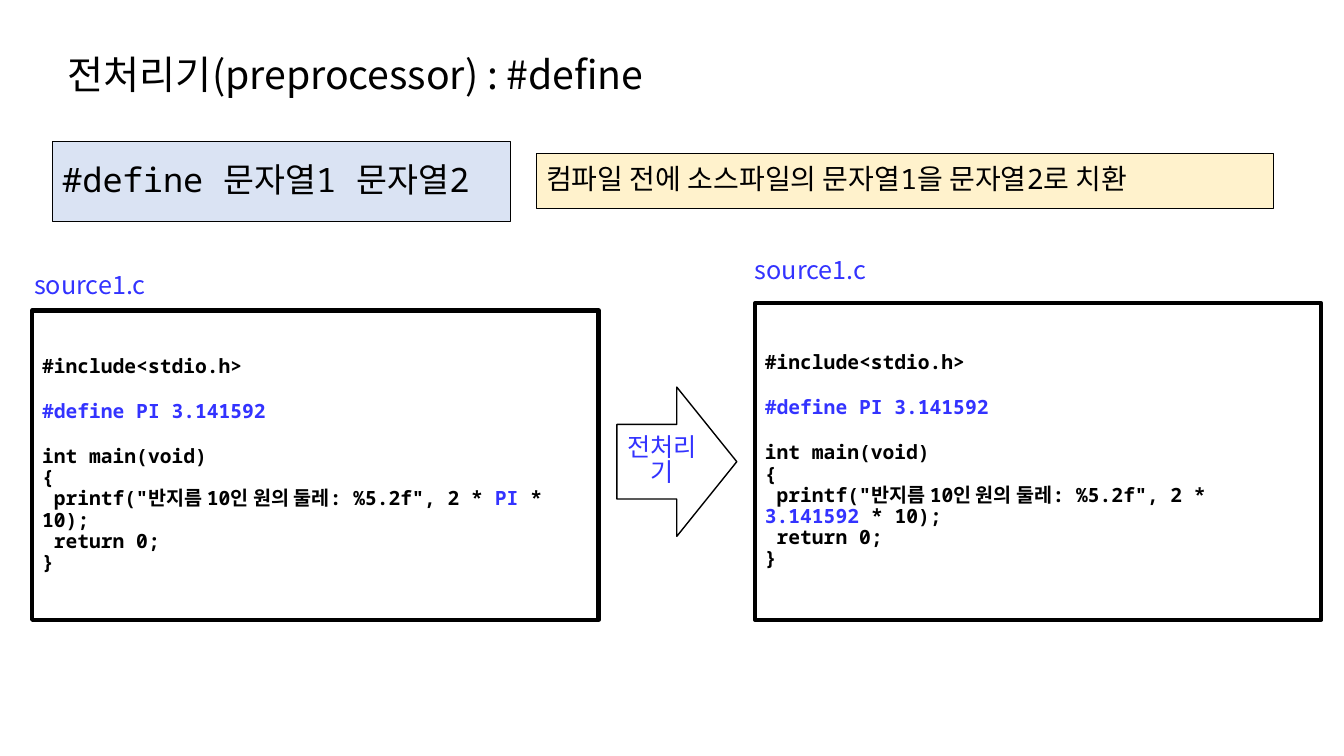
from dataclasses import dataclass
from lxml import etree
from pptx import Presentation
from pptx.dml.color import RGBColor as Rgb
from pptx.enum.shapes import MSO_SHAPE as Kind
from pptx.enum.text import MSO_ANCHOR as Anchor, PP_ALIGN as Align
from pptx.oxml.ns import qn
from pptx.util import Pt


@dataclass
class Theme:
    black: str = "000000"
    accent: str = "3333FF"
    blue: str = "DAE3F3"
    cream: str = "FFF2CC"
    sans: str = "Noto Sans CJK KR"
    mono: str = "Noto Sans Mono"
    title: int = 28
    rule: int = 24
    note: int = 20
    label: int = 18
    code: int = 14


theme = Theme()


def style(run, size, face, color, bold=False):
    font = run.font
    font.size = Pt(size)
    font.name = face
    font.bold = bold
    font.color.rgb = Rgb.from_string(color)
    east = etree.SubElement(run._r.get_or_add_rPr(), qn("a:ea"))
    east.set("typeface", theme.sans)


def add_box(kind, place, fill, width):
    box = slide.shapes.add_shape(kind, *map(Pt, place))
    box.shadow.inherit = False
    if fill:
        box.fill.solid()
        box.fill.fore_color.rgb = Rgb.from_string(fill)
    else:
        box.fill.background()
    box.line.color.rgb = Rgb.from_string(theme.black)
    box.line.width = Pt(width)
    frame = box.text_frame
    frame.word_wrap = True
    frame.vertical_anchor = Anchor.MIDDLE
    frame.paragraphs[0].alignment = Align.LEFT
    return frame


deck = Presentation()
deck.slide_width, deck.slide_height = Pt(960), Pt(540)
slide = deck.slides.add_slide(deck.slide_layouts[6])

labels = [
    ("전처리기(preprocessor) : #define", (41.5, 24, 664, 57.5), theme.title, theme.black, True),
    ("source1.c", (17.3, 188.6, 107, 29), theme.label, theme.accent, False),
    ("source1.c", (532, 177.8, 107, 29), theme.label, theme.accent, False),
]
for text, place, size, color, wrap in labels:
    frame = slide.shapes.add_textbox(*map(Pt, place)).text_frame
    frame.word_wrap = wrap
    frame.vertical_anchor = Anchor.MIDDLE if wrap else Anchor.TOP
    frame.text = text
    style(frame.paragraphs[0].runs[0], size, theme.sans, color)

banners = [
    ("#define 문자열1 문자열2", (37.4, 100.8, 327, 57.6), theme.blue, theme.rule),
    ("컴파일 전에 소스파일의 문자열1을 문자열2로 치환", (383, 109.4, 527, 39.6), theme.cream, theme.note),
]
for text, place, fill, size in banners:
    frame = add_box(Kind.RECTANGLE, place, fill, 0.75)
    frame.text = text
    para = frame.paragraphs[0]
    para.line_spacing = 0.9
    style(para.runs[0], size, theme.mono, theme.black)

panels = [
    ((23, 221.8, 404.6, 221), "PI "),
    ((539.3, 216.7, 404.6, 226), "3.141592 "),
]
for place, value in panels:
    frame = add_box(Kind.RECTANGLE, place, None, 3)
    lines = [
        (0, [("#include<stdio.h>", theme.black)]),
        (17, [("#define PI 3.141592", theme.accent)]),
        (17, [("int main(void)", theme.black)]),
        (0, [("{", theme.black)]),
        (0, [
            (' printf("반지름 10인 원의 둘레: %5.2f", 2 * ', theme.black),
            (value, theme.accent),
            ("* 10);", theme.black),
        ]),
        (0, [(" return 0;", theme.black)]),
        (0, [("}", theme.black)]),
    ]
    for row, (gap, parts) in enumerate(lines):
        para = frame.add_paragraph() if row else frame.paragraphs[0]
        para.alignment = Align.LEFT
        para.line_spacing = 0.9
        para.space_before = Pt(gap)
        for text, color in parts:
            run = para.add_run()
            run.text = text
            style(run, theme.code, theme.mono, color, True)

frame = add_box(Kind.RIGHT_ARROW, (440.6, 276.5, 85.7, 106.6), None, 1)
frame.text = "전처리기"
para = frame.paragraphs[0]
para.alignment = Align.CENTER
para.line_spacing = 0.8
style(para.runs[0], theme.label, theme.sans, theme.accent)

deck.save("out.pptx")
